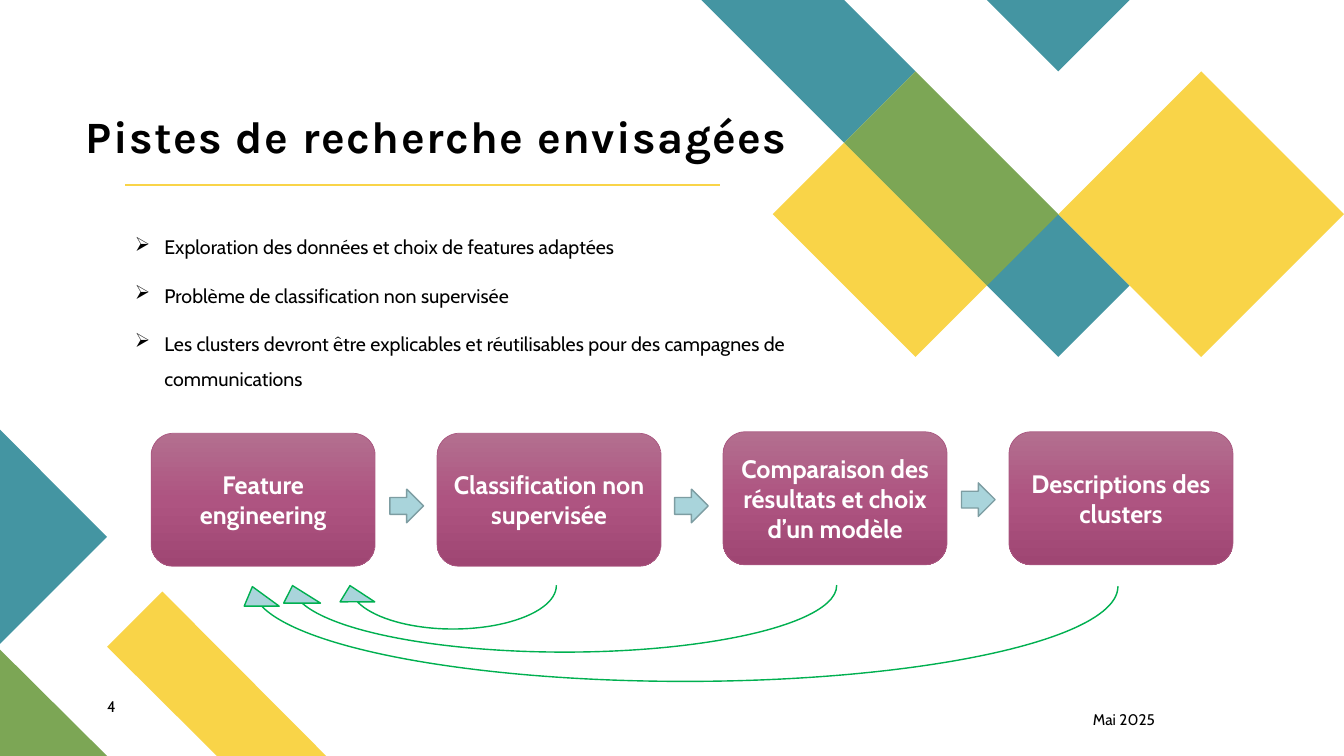
from copy import deepcopy
from dataclasses import dataclass

from lxml import etree
from pptx import Presentation
from pptx.dml.color import RGBColor
from pptx.enum import shapes, text
from pptx.oxml import ns
from pptx.util import Pt


@dataclass(frozen=True)
class Theme:
    teal: str = "4495A2"
    yellow: str = "F9D448"
    green: str = "7CA655"
    black: str = "000000"
    white: str = "FFFFFF"
    card_gradient: tuple[str, ...] = ("B36F8F", "AE5481", "9F4673")
    card_line: str = "AA5881"
    arrow: str = "A9D4DB"
    arrow_line: str = "7D9DA2"
    loop_line: str = "00B050"
    head_font: str = "Karla"
    body_font: str = "Cabin"
    title_size: float = 32
    card_size: float = 18
    bullet_size: float = 14
    small_size: float = 11


@dataclass(frozen=True)
class Polygon:
    color: str
    points: tuple[tuple[float, float], ...]


@dataclass(frozen=True)
class Step:
    label: str
    top: float


@dataclass(frozen=True)
class Arrow:
    kind: shapes.MSO_SHAPE
    box: tuple[float, float, float, float]
    line: str
    rotation: float = 0
    adjustments: tuple[float, ...] = ()


THEME = Theme()

# Corner diamonds, as (column, row) on a square grid
GRID_LEFT, GRID_STEP = 501, 51
DIAMONDS = (
    Polygon(THEME.teal, ((0, 0), (2, 0), (3, 1), (2, 2))),
    Polygon(THEME.teal, ((5, 3), (6, 4), (5, 5), (4, 4))),
    Polygon(THEME.yellow, ((2, 2), (1, 3), (3, 5), (4, 4))),
    Polygon(THEME.teal, ((4, 0), (6, 0), (5, 1))),
    Polygon(THEME.green, ((3, 1), (2, 2), (4, 4), (5, 3))),
    Polygon(THEME.yellow, ((7, 1), (9, 3), (7, 5), (5, 3))),
)
# Lower left corner, in points
CORNER = (
    Polygon(THEME.yellow, ((116, 422.5), (76.5, 462), (155, 540), (233, 540))),
    Polygon(THEME.green, ((0, 464), (76.5, 540), (0, 540))),
    Polygon(THEME.teal, ((0, 307), (76.5, 383.5), (0, 460))),
)
BULLETS = (
    "Exploration des données et choix de features adaptées",
    "Problème de classification non supervisée",
    "Les clusters devront être explicables et réutilisables pour des "
    "campagnes de communications",
)
STEP_LEFT, STEP_PITCH = 108, 204.25
STEPS = (
    Step("Feature engineering", 309.5),
    Step("Classification non supervisée", 309.5),
    Step("Comparaison des résultats et choix d’un modèle", 308.4),
    Step("Descriptions des clusters", 308.4),
)
NEXT, LOOP = shapes.MSO_SHAPE.RIGHT_ARROW, shapes.MSO_SHAPE.CURVED_DOWN_ARROW
ARROWS = (
    Arrow(NEXT, (278.5, 349.4, 24, 24), THEME.arrow_line),
    Arrow(NEXT, (481.9, 349.4, 24, 24), THEME.arrow_line),
    Arrow(NEXT, (686.8, 344.9, 24, 24), THEME.arrow_line),
    Arrow(LOOP, (237.6, 418.3, 159.8, 31), THEME.loop_line, 180, (0, 0.798, 0.373)),
    Arrow(LOOP, (195.8, 418.3, 401.8, 47.5), THEME.loop_line, 180, (0, 0.553, 0.263)),
    Arrow(LOOP, (167.8, 419, 630.7, 67.7), THEME.loop_line, 180, (0, 0.369, 0.206)),
)


def rgb(color: str) -> RGBColor:
    return RGBColor.from_string(color)


def write(p, content: str, *, size: float, color: str = THEME.black,
          font: str = THEME.body_font, bold: bool = False,
          align: text.PP_ALIGN = text.PP_ALIGN.LEFT, spacing: float = 1):
    p.alignment, p.line_spacing = align, spacing
    r = p.add_run()
    r.text = content
    r.font.size, r.font.name, r.font.bold = Pt(size), font, bold
    r.font.color.rgb = rgb(color)
    return r


def set_margins(tf, x: float, y: float) -> None:
    tf.margin_left = tf.margin_right = Pt(x)
    tf.margin_top = tf.margin_bottom = Pt(y)


def add_box(slide, left: float, top: float, width: float, height: float):
    tf = slide.shapes.add_textbox(Pt(left), Pt(top), Pt(width), Pt(height)).text_frame
    tf.word_wrap = True
    return tf


def add_polygon(slide, polygon: Polygon) -> None:
    start, *rest = [(Pt(x), Pt(y)) for x, y in polygon.points]
    builder = slide.shapes.build_freeform(*start)
    builder.add_line_segments(rest, close=True)
    sp = builder.convert_to_shape()
    sp.shadow.inherit = False
    sp.fill.solid()
    sp.fill.fore_color.rgb = rgb(polygon.color)
    sp.line.fill.background()


def on_grid(polygon: Polygon) -> Polygon:
    return Polygon(polygon.color, tuple(
        (GRID_LEFT + GRID_STEP * col, GRID_STEP * row) for col, row in polygon.points))


def add_title(slide, content: str) -> None:
    sp = slide.shapes.title
    sp.left, sp.top, sp.width, sp.height = Pt(61.2), Pt(68.4), Pt(593.3), Pt(48.2)
    tf = sp.text_frame
    tf.auto_size, tf.vertical_anchor = text.MSO_AUTO_SIZE.NONE, text.MSO_ANCHOR.BOTTOM
    set_margins(tf, 0, 0)
    r = write(tf.paragraphs[0], content, size=THEME.title_size,
              font=THEME.head_font, bold=True, spacing=0.9)
    r.font._element.set("spc", "100")


def add_rule(slide) -> None:
    line = slide.shapes.add_connector(
        shapes.MSO_CONNECTOR.STRAIGHT, Pt(89.3), Pt(132.2), Pt(514.1), Pt(132.2))
    line.line.color.rgb, line.line.width = rgb(THEME.yellow), Pt(1.5)
    etree.SubElement(line._element.spPr, ns.qn("a:effectLst"))


def add_bullets(slide) -> None:
    tf = add_box(slide, 89.3, 156.2, 488.2, 124.6)
    for i, content in enumerate(BULLETS):
        p = tf.paragraphs[0] if i == 0 else tf.add_paragraph()
        pPr = p._p.get_or_add_pPr()
        pPr.set("marL", str(Pt(21)))
        pPr.set("indent", str(-Pt(21)))
        etree.SubElement(pPr, ns.qn("a:buChar"), char="➢")
        if i:
            p.space_before = Pt(9.2)
        write(p, content, size=THEME.bullet_size, spacing=1.5)


def add_step(slide, step: Step, left: float) -> None:
    sp = slide.shapes.add_shape(shapes.MSO_SHAPE.ROUNDED_RECTANGLE,
                                Pt(left), Pt(step.top), Pt(160), Pt(95))
    sp.shadow.inherit = False
    sp.fill.gradient()
    sp.fill.gradient_angle = 270
    stops = sp._element.spPr.find(".//" + ns.qn("a:gsLst"))
    stops.append(deepcopy(stops[-1]))
    for i, (stop, color) in enumerate(zip(sp.fill.gradient_stops, THEME.card_gradient)):
        stop.position, stop.color.rgb = i / 2, rgb(color)
    sp.line.color.rgb, sp.line.width = rgb(THEME.card_line), Pt(0.5)
    tf = sp.text_frame
    tf.word_wrap, tf.vertical_anchor = True, text.MSO_ANCHOR.MIDDLE
    set_margins(tf, 5, 3.6)
    write(tf.paragraphs[0], step.label, size=THEME.card_size, color=THEME.white,
          bold=True, align=text.PP_ALIGN.CENTER)


def add_arrow(slide, arrow: Arrow) -> None:
    sp = slide.shapes.add_shape(arrow.kind, *map(Pt, arrow.box))
    sp.shadow.inherit = False
    sp.rotation = arrow.rotation
    for i, value in enumerate(arrow.adjustments):
        sp.adjustments[i] = value
    sp.fill.solid()
    sp.fill.fore_color.rgb = rgb(THEME.arrow)
    sp.line.color.rgb, sp.line.width = rgb(arrow.line), Pt(1)


def main() -> None:
    prs = Presentation()
    prs.slide_width, prs.slide_height = Pt(960), Pt(540)
    slide = prs.slides.add_slide(prs.slide_layouts[5])
    for polygon in (*CORNER, *map(on_grid, DIAMONDS)):
        add_polygon(slide, polygon)
    add_title(slide, "Pistes de recherche envisagées")
    # Keep the title in front of the diamonds
    slide.shapes._spTree.append(slide.shapes.title._element)
    number = add_box(slide, 76.5, 498.2, 41, 19.4)
    set_margins(number, 0, 0)
    write(number.paragraphs[0], "4", size=THEME.small_size)
    add_rule(slide)
    date = add_box(slide, 751, 504, 103.7, 18)
    write(date.paragraphs[0], "Mai 2025", size=THEME.small_size,
          align=text.PP_ALIGN.CENTER)
    add_bullets(slide)
    for i, step in enumerate(STEPS):
        add_step(slide, step, STEP_LEFT + i * STEP_PITCH)
    for arrow in ARROWS:
        add_arrow(slide, arrow)
    prs.save("out.pptx")


if __name__ == "__main__":
    main()
